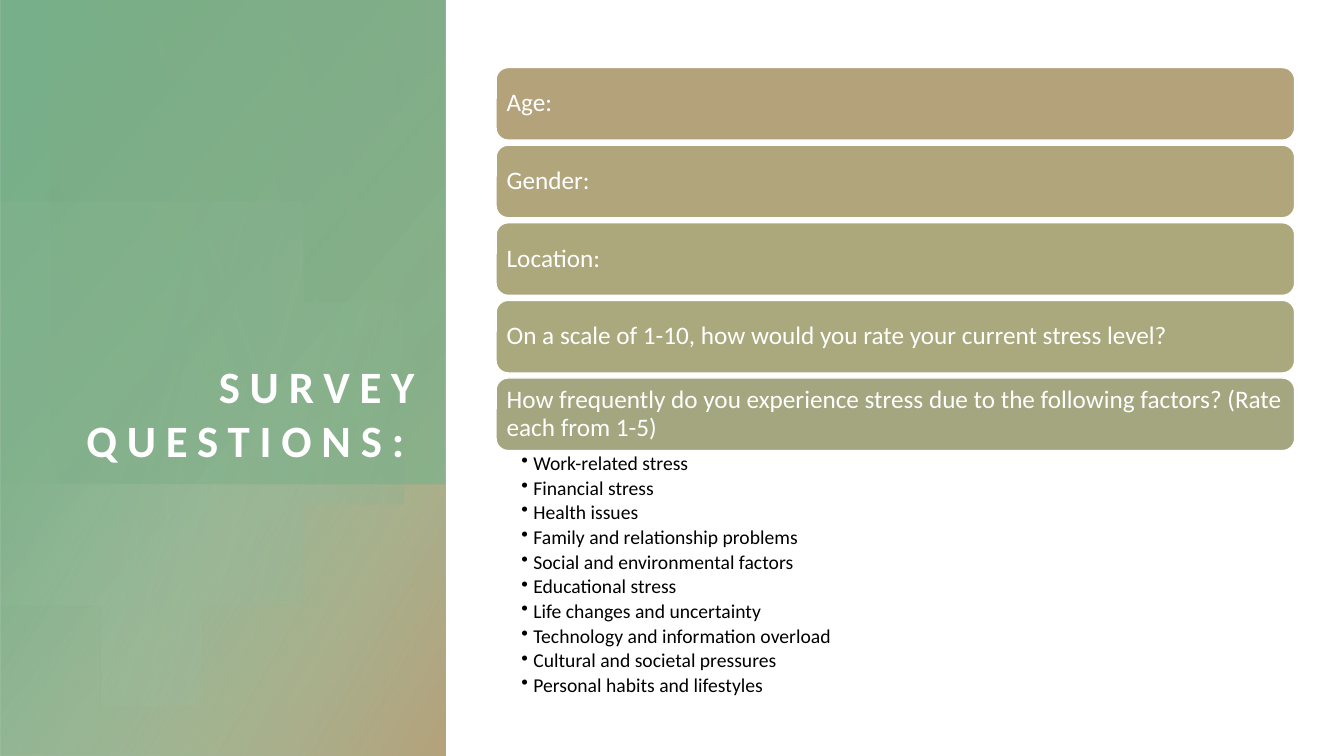
from math import acos, cos, sin

from lxml import etree
from pptx import Presentation
from pptx.dml.color import RGBColor
from pptx.enum.shapes import MSO_SHAPE
from pptx.enum.text import MSO_ANCHOR, PP_ALIGN
from pptx.oxml import parse_xml
from pptx.oxml.ns import nsdecls, qn
from pptx.util import Inches, Pt

RECT, ROUND = MSO_SHAPE.RECTANGLE, MSO_SHAPE.ROUNDED_RECTANGLE
TOP, MIDDLE, BOTTOM = MSO_ANCHOR.TOP, MSO_ANCHOR.MIDDLE, MSO_ANCHOR.BOTTOM
LEFT, RIGHT = PP_ALIGN.LEFT, PP_ALIGN.RIGHT

THEME = {
    "font": "Calibri",
    "white": "FFFFFF", "black": "000000",
    "green": "77AF8A", "sage": "85AB82", "olive": "8EAA74",
    "mint": "ADCFB9", "pale": "B6CDB4", "sand": "B4A27B",
    "title": 32, "card": 18, "item": 14,
}
WIDE, HIGH = 13.33, 7.5
SIDE = 4.42                            # width of the green panel
CARD_X, CARD_Y, CARD_W, CARD_H = 4.92, 0.67, 7.92, 0.72
STEP = 0.77

CARDS = [
    ("Age:", "B4A27B"),
    ("Gender:", "B1A57C"),
    ("Location:", "ADA77C"),
    ("On a scale of 1-10, how would you rate your current stress level?", "AAA97D"),
    ("How frequently do you experience stress due to the following factors? "
     "(Rate each from 1-5)", "A3A67E"),
]
ITEMS = [
    "Work-related stress", "Financial stress", "Health issues",
    "Family and relationship problems", "Social and environmental factors",
    "Educational stress", "Life changes and uncertainty",
    "Technology and information overload", "Cultural and societal pressures",
    "Personal habits and lifestyles",
]


def shade(shape, angle, stops):
    """Fill with a linear gradient of (position, colour, opacity) in percent."""
    shape.shadow.inherit = False
    shape.line.fill.background()
    shape.fill.background()
    marks = "".join(
        f'<a:gs pos="{pos * 1000}"><a:srgbClr val="{THEME[name]}">'
        f'<a:alpha val="{alpha * 1000}"/></a:srgbClr></a:gs>'
        for pos, name, alpha in stops)
    grad = parse_xml(
        f'<a:gradFill {nsdecls("a")} rotWithShape="1"><a:gsLst>{marks}</a:gsLst>'
        f'<a:lin ang="{angle * 60000}" scaled="0"/></a:gradFill>')
    props = shape._element.spPr
    props.replace(props.find(qn("a:noFill")), grad)


def write(shape, lines, size, color, pad, anchor, align=LEFT, **para):
    frame = shape.text_frame
    frame.text = "\n".join(lines)
    edges = ("margin_left", "margin_top", "margin_right", "margin_bottom")
    looks = dict(zip(edges, map(Inches, pad)))
    looks |= {"word_wrap": True, "vertical_anchor": anchor}
    for key, value in looks.items():
        setattr(frame, key, value)
    for line in frame.paragraphs:
        for key, value in {"alignment": align, **para}.items():
            setattr(line, key, value)
        font = line.runs[0].font
        for key, value in {"name": THEME["font"], "size": Pt(THEME[size])}.items():
            setattr(font, key, value)
        font.color.rgb = RGBColor.from_string(THEME[color])
    return frame.paragraphs


deck = Presentation()
deck.slide_width, deck.slide_height = Inches(WIDE), Inches(HIGH)
slide = deck.slides.add_slide(deck.slide_layouts[6])
shapes = slide.shapes

# Side panel: each layer is a quarter-turned, mirrored rectangle,
# given by the left, top, width and height that it covers on the slide
layers = [
    (0, 0, SIDE, HIGH, 270, 50, [(8, "green", 100), (100, "sage", 89)]),
    (0, 4.81, SIDE, HIGH - 4.81, 270, 60, [(0, "pale", 0), (99, "sand", 100)]),
    (0.5, 0, SIDE - 0.5, 4.81, 90, 110, [(0, "sage", 29), (100, "olive", 0)]),
]
panels = []
for x, y, w, h, turn, angle, stops in layers:
    shift = (w - h) / 2
    panel = shapes.add_shape(RECT, *map(Inches, (x + shift, y - shift, h, w)))
    panel.rotation = turn
    panel._element.spPr.xfrm.set("flipH", "1")
    shade(panel, angle, stops)
    panels.append(panel)

# Disc cut off by the left edge of the slide
mid_x, mid_y, radius, count = 1.57, 4.25, 2.29, 90
reach = acos(-mid_x / radius)
turns = [reach * (2 * i / count - 1) for i in range(count + 1)]
points = [(mid_x + radius * cos(t), mid_y + radius * sin(t)) for t in turns]
build = shapes.build_freeform(*points[0], scale=Inches(1))
build.add_line_segments(points[1:], close=True)
disc = build.convert_to_shape()
shade(disc, 14, [(36, "mint", 6), (100, "green", 26)])
panels[-1]._element.addprevious(disc._element)

title = shapes.add_textbox(*map(Inches, (0.5, 0.95, 3.71, 3.68)))
head = write(title, ["SURVEY QUESTIONS: "], "title", "white", (0, 0, 0, 0), BOTTOM, RIGHT)
face = head[0].runs[0].font
face.bold = True
face._element.set("spc", "700")

for row, (label, color) in enumerate(CARDS):
    box = (CARD_X, CARD_Y + row * STEP, CARD_W, CARD_H)
    card = shapes.add_shape(ROUND, *map(Inches, box))
    card.shadow.inherit = False
    card.fill.solid()
    card.fill.fore_color.rgb = RGBColor.from_string(color)
    card.line.color.rgb = RGBColor.from_string(THEME["white"])
    card.line.width = Pt(1)
    write(card, [label], "card", "white", (0.07, 0.07, 0.07, 0.07), MIDDLE, line_spacing=0.9)

top = CARD_Y + len(CARDS) * STEP - 0.05
factors = shapes.add_textbox(*map(Inches, (CARD_X, top, CARD_W, 2.36)))
for line in write(factors, ITEMS, "item", "black", (0.25, 0.03, 0.14, 0.03), TOP,
                  line_spacing=0.9, space_after=Pt(2.5), level=1):
    props = line._element.get_or_add_pPr()
    props.set("marL", str(Inches(0.12)))
    props.set("indent", str(Inches(-0.12)))
    etree.SubElement(props, qn("a:buChar")).set("char", "•")

deck.save("out.pptx")
